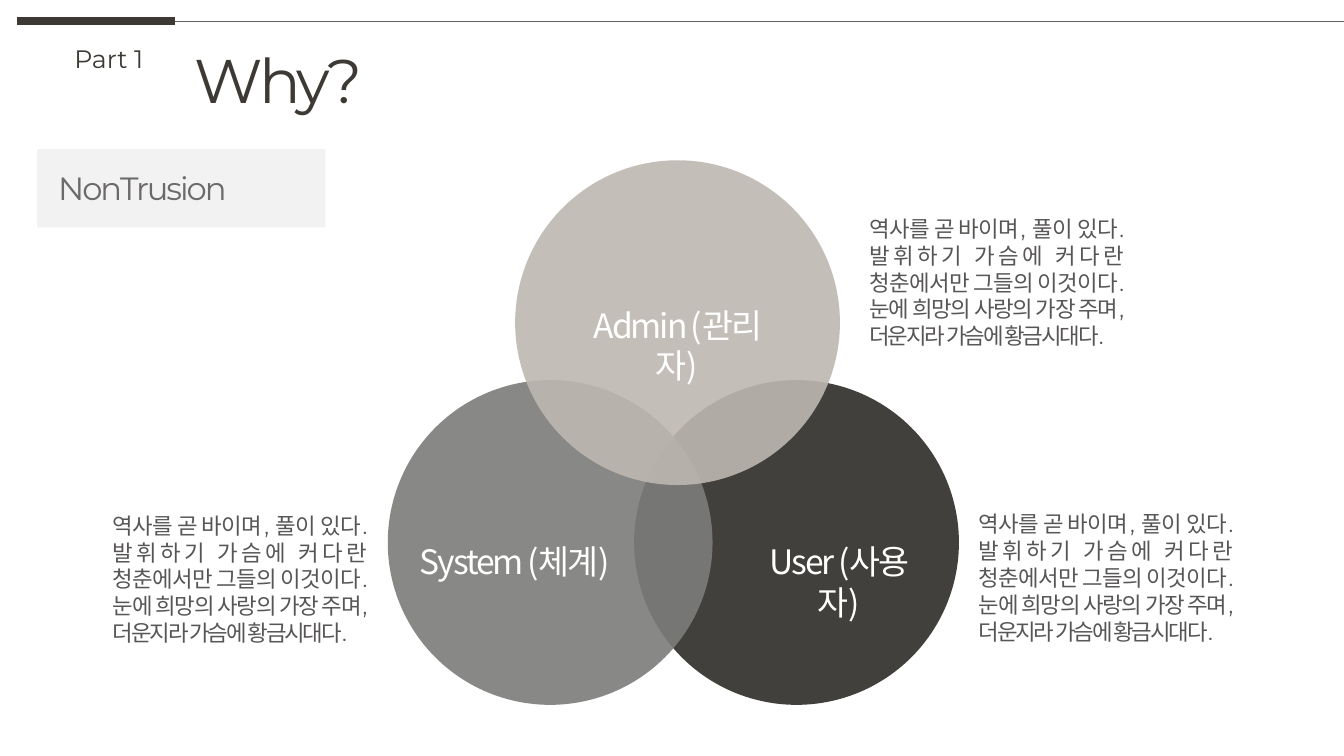
from pptx import Presentation
from pptx.dml.color import RGBColor
from pptx.enum.shapes import MSO_CONNECTOR, MSO_SHAPE
from pptx.enum.text import MSO_ANCHOR, MSO_AUTO_SIZE, PP_ALIGN
from pptx.oxml.ns import qn
from pptx.util import Pt
from lxml.etree import SubElement

DARK = RGBColor(0x3D, 0x3A, 0x35)
RULE = RGBColor(0x5F, 0x5F, 0x5D)
COAL = RGBColor(0x2E, 0x2C, 0x28)
GRAY = RGBColor(0x7C, 0x7C, 0x7A)
SAND = RGBColor(0xBE, 0xB7, 0xB1)
PALE = RGBColor(0xF2, 0xF2, 0xF2)
BODY = RGBColor(0x58, 0x55, 0x55)
TAG = RGBColor(0x6C, 0x69, 0x69)
WHITE = RGBColor(0xFF, 0xFF, 0xFF)
LATIN = "Montserrat"
KOREAN = "Noto Sans CJK KR"
STORY = ("역사를 곧 바이며, 풀이 있다. 발휘하기 가슴에 커다란 청춘에서만 그들의 이것이다. "
         "눈에 희망의 사랑의 가장 주며, 더운지라 가슴에 황금시대다. ")

deck = Presentation()
deck.slide_width, deck.slide_height = Pt(960), Pt(540)
slide = deck.slides.add_slide(deck.slide_layouts[5])
shapes = slide.shapes


def write(text, left, top, width, height, size, color, font=LATIN,
          align=PP_ALIGN.LEFT, gap=0, wrap=False, box=None):
    """Fill the given box, or a new text box; gap is letter spacing in points."""
    box = box or shapes.add_textbox(0, 0, 0, 0)
    box.left, box.top = Pt(left), Pt(top)
    box.width, box.height = Pt(width), Pt(height)
    frame = box.text_frame
    frame.word_wrap = wrap
    frame.auto_size = MSO_AUTO_SIZE.SHAPE_TO_FIT_TEXT
    frame.vertical_anchor = MSO_ANCHOR.TOP
    para = frame.paragraphs[0]
    para.alignment = align
    run = para.add_run()
    run.text = text
    run.font.size = Pt(size)
    run.font.name = font
    run.font.color.rgb = color
    props = run.font._element
    props.set("spc", str(int(gap * 100)))
    SubElement(props, qn("a:ea")).set("typeface", KOREAN)


def paint(kind, left, top, width, height, color, alpha=100):
    shape = shapes.add_shape(kind, Pt(left), Pt(top), Pt(width), Pt(height))
    shape.shadow.inherit = False
    shape.line.fill.background()
    shape.fill.solid()
    shape.fill.fore_color.rgb = color
    if alpha < 100:
        tint = shape.fill._xPr.find(".//" + qn("a:srgbClr"))
        SubElement(tint, qn("a:alpha")).set("val", str(alpha * 1000))


# Header
for start, end, color, weight in [(12, 125, DARK, 6), (125, 960, RULE, 0.5)]:
    line = shapes.add_connector(MSO_CONNECTOR.STRAIGHT, Pt(start), Pt(15), Pt(end), Pt(15))
    line.line.color.rgb = color
    line.line.width = Pt(weight)
    SubElement(line._element.spPr, qn("a:effectLst"))
write("Why?", 132, 26, 135, 60.5, 44, DARK, gap=-3, box=shapes.title)
write("Part 1", 46, 27.5, 66, 29, 18, DARK)

# Overlapping circles
for left, top, color in [(453, 271.5, COAL), (277, 271.5, GRAY), (368, 114.5, SAND)]:
    paint(MSO_SHAPE.OVAL, left, top, 232, 232, color, alpha=90)

for text, left, top, width in [("System (체계)", 291.5, 383, 152.5),
                               ("User (사용자)", 528, 383, 142),
                               ("Admin (관리자)", 402.5, 214, 162)]:
    write(text, left, top, width, 36, 24, WHITE, font=KOREAN,
          align=PP_ALIGN.CENTER, gap=-1.5)

for left, top in [(73.5, 362), (692, 361), (614, 150)]:
    write(STORY, left, top, 194.5, 104.5, 16, BODY,
          align=PP_ALIGN.JUSTIFY, gap=-1.5, wrap=True)

# Topic tag
paint(MSO_SHAPE.RECTANGLE, 26.5, 106.5, 206, 56, PALE)
write("NonTrusion", 34.5, 116.5, 212.5, 35.5, 23, TAG, gap=-1.5, wrap=True)

deck.save("out.pptx")
